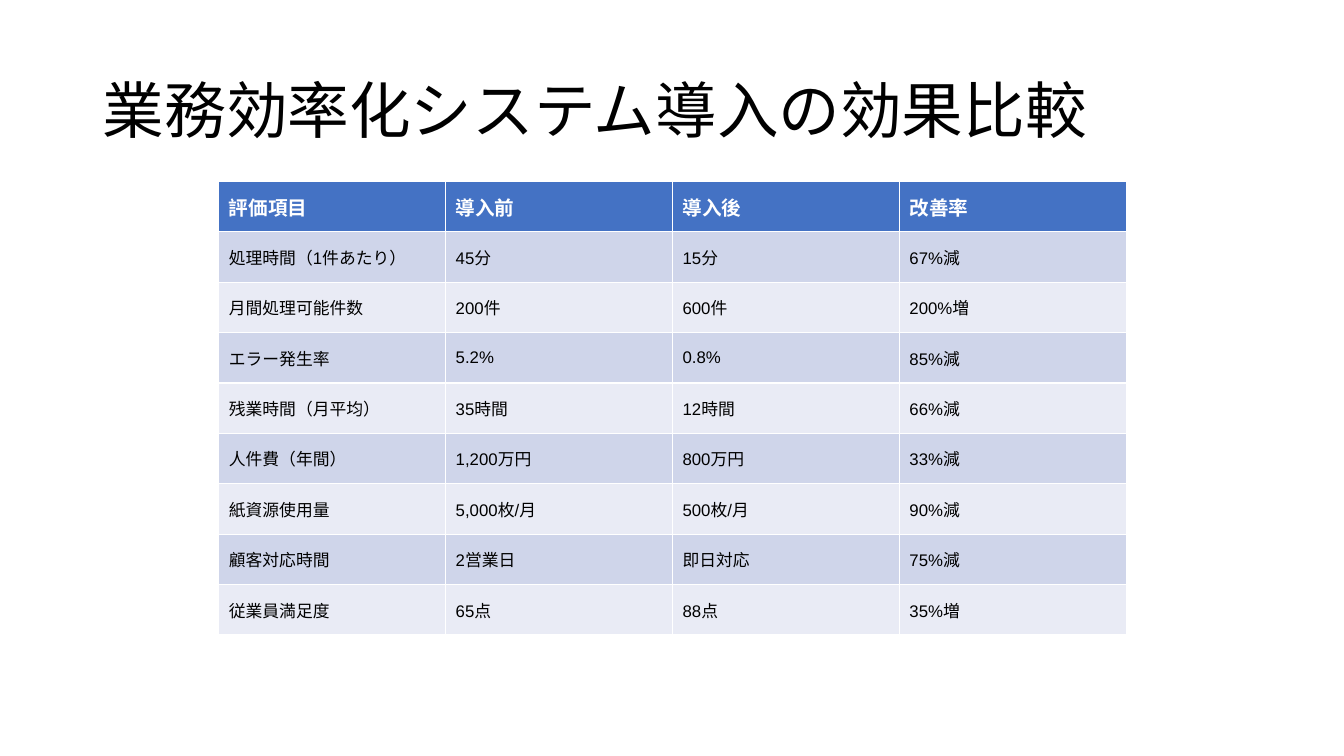
from pptx import Presentation
from pptx.dml.color import RGBColor
from pptx.enum.text import MSO_ANCHOR, PP_ALIGN
from pptx.util import Pt

PX = 9144  # EMU per px, 100 px to the inch
SLIDE_SIZE = (1333, 750)
FONT = "Arial"

TITLE = "業務効率化システム導入の効果比較"
TITLE_BOX = (92, 40, 1150, 145)

HEADINGS = ("評価項目", "導入前", "導入後", "改善率")
RESULTS = [
    ("処理時間（1件あたり）", "45分", "15分", "67%減"),
    ("月間処理可能件数", "200件", "600件", "200%増"),
    ("エラー発生率", "5.2%", "0.8%", "85%減"),
    ("残業時間（月平均）", "35時間", "12時間", "66%減"),
    ("人件費（年間）", "1,200万円", "800万円", "33%減"),
    ("紙資源使用量", "5,000枚/月", "500枚/月", "90%減"),
    ("顧客対応時間", "2営業日", "即日対応", "75%減"),
    ("従業員満足度", "65点", "88点", "35%増"),
]
TABLE_LEFT, TABLE_TOP = 217, 180
COLUMN_WIDTH, ROW_HEIGHT = 225, 50
HEADING_FILL = "4472C4"
BAND_FILLS = ("CFD5EA", "E9EBF5")


def emu(*lengths):
    return [length * PX for length in lengths]


def color(value):
    return RGBColor.from_string(value)


def set_font(paragraph, size, ink, bold=False):
    font = paragraph.font
    font.name, font.size, font.bold = FONT, Pt(size), bold
    font.color.rgb = color(ink)


def add_title(slide):
    title = slide.shapes.title
    title.left, title.top, title.width, title.height = emu(*TITLE_BOX)
    title.text_frame.text = TITLE
    title.text_frame.vertical_anchor = MSO_ANCHOR.MIDDLE
    heading = title.text_frame.paragraphs[0]
    heading.alignment = PP_ALIGN.LEFT
    heading.line_spacing = 0.9
    set_font(heading, 44, "000000")


def add_comparison(slide):
    rows = [HEADINGS, *RESULTS]
    size = (COLUMN_WIDTH * len(HEADINGS), ROW_HEIGHT * len(rows))
    comparison = slide.shapes.add_table(
        len(rows), len(HEADINGS), *emu(TABLE_LEFT, TABLE_TOP, *size)
    ).table
    for r, row in enumerate(rows):
        is_heading = r == 0
        fill = HEADING_FILL if is_heading else BAND_FILLS[(r - 1) % 2]
        for c, entry in enumerate(row):
            cell = comparison.cell(r, c)
            cell.text = entry
            cell.vertical_anchor = MSO_ANCHOR.MIDDLE
            cell.fill.solid()
            cell.fill.fore_color.rgb = color(fill)
            set_font(
                cell.text_frame.paragraphs[0],
                14 if is_heading else 12,
                "FFFFFF" if is_heading else "000000",
                is_heading,
            )


def main():
    deck = Presentation()
    deck.slide_width, deck.slide_height = emu(*SLIDE_SIZE)
    slide = deck.slides.add_slide(deck.slide_layouts[5])
    add_title(slide)
    add_comparison(slide)
    deck.save("out.pptx")


if __name__ == "__main__":
    main()
